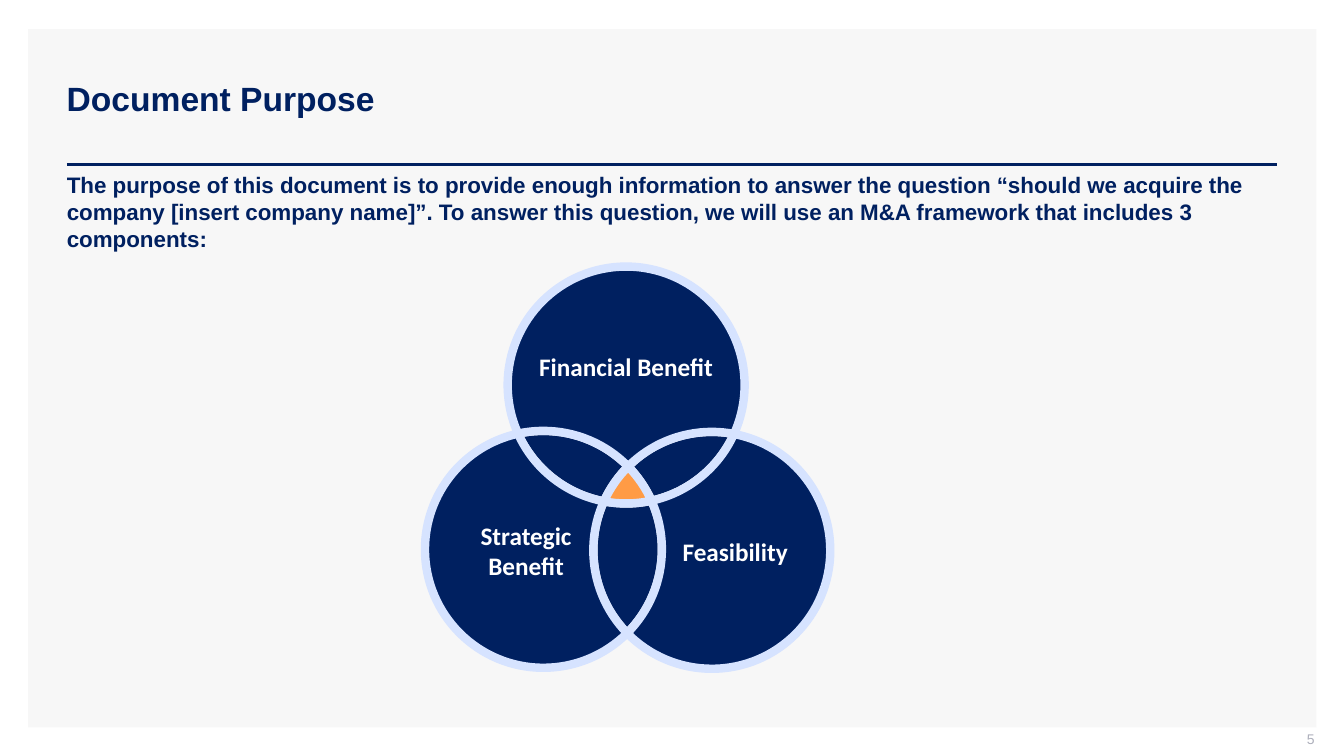
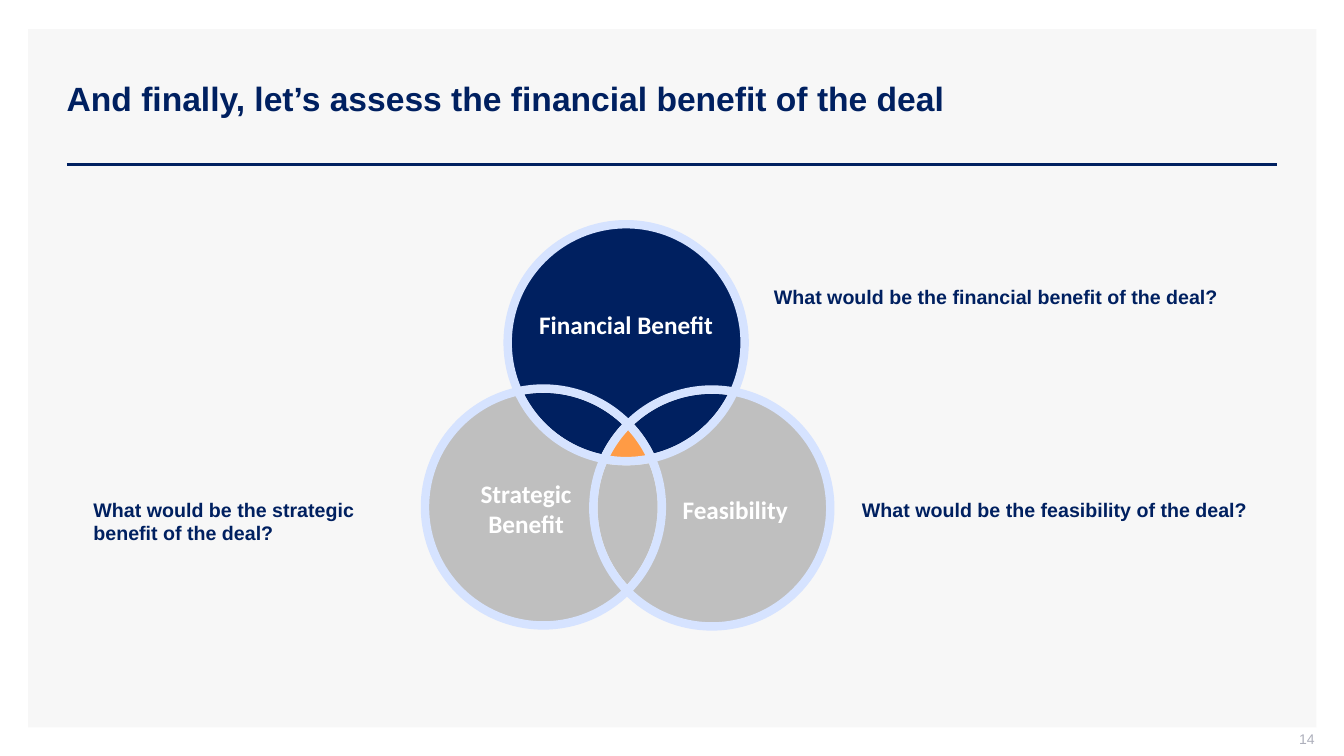
from dataclasses import dataclass
from itertools import pairwise
from math import atan2, ceil, cos, floor, hypot, pi, sin, tan
from typing import NamedTuple

from lxml.etree import Element, SubElement
from pptx import Presentation
from pptx.dml.color import RGBColor
from pptx.enum.shapes import MSO_CONNECTOR, MSO_SHAPE
from pptx.enum.text import MSO_ANCHOR, PP_ALIGN
from pptx.oxml.ns import qn
from pptx.util import Inches, Pt

NAVY = RGBColor(0x00, 0x20, 0x60)
PALE_BLUE = RGBColor(0xD6, 0xE3, 0xFF)
ORANGE = RGBColor(0xFF, 0x9B, 0x45)
MUTED = RGBColor(0xBF, 0xBF, 0xBF)
LIGHT_GREY = RGBColor(0xF2, 0xF2, 0xF2)
PANEL_GREY = RGBColor(0xF7, 0xF7, 0xF7)
NUMBER_GREY = RGBColor(0xAD, 0xAF, 0xBB)
WHITE = RGBColor(0xFF, 0xFF, 0xFF)

SLIDE_W, SLIDE_H = Inches(13.33), Inches(7.5)
QUADRANT = pi / 2
CLOCKWISE, COUNTER = 1, -1


class Area(NamedTuple):
    """A rectangle in percent of the slide's width and height."""
    left: float
    top: float
    width: float
    height: float

    def emu(self) -> tuple[int, int, int, int]:
        return (round(self.left * SLIDE_W / 100), round(self.top * SLIDE_H / 100),
                round(self.width * SLIDE_W / 100), round(self.height * SLIDE_H / 100))


PANEL = Area(2.1, 3.87, 95.85, 92.36)
TITLE = Area(4.21, 5.33, 90.85, 15.87)
RULE = Area(4.97, 21.73, 90.08, 0)
PURPOSE = Area(4.97, 22.65, 90.08, 10.8)
PAGE_NUMBER = Area(75.32, 96.67, 22.5, 2.8)


class Point(NamedTuple):
    x: float
    y: float


class Circle(NamedTuple):
    """Centre and diameter in inches, measured from the diagram's top left."""
    x: float
    y: float
    diameter: float = 2.35

    @property
    def radius(self) -> float:
        return self.diameter / 2


class Arc(NamedTuple):
    circle: Circle
    start: Point
    end: Point
    turn: int = CLOCKWISE


class Curve(NamedTuple):
    """A stretch of a circle of at most one quadrant, between two angles."""
    circle: Circle
    first: float
    last: float


@dataclass(frozen=True)
class Piece:
    arcs: tuple[Arc, ...]
    theme: str
    border: RGBColor = PALE_BLUE
    label: tuple[str, ...] = ()
    align: PP_ALIGN = PP_ALIGN.CENTER
    indent: float = 0


@dataclass(frozen=True)
class Question:
    text: str
    area: Area


def crossings(a: Circle, b: Circle, third: Circle) -> tuple[Point, Point]:
    """Points where a meets b: first the one inside the third circle, then the other."""
    dx, dy = b.x - a.x, b.y - a.y
    gap = hypot(dx, dy)
    rise = (a.radius ** 2 - gap ** 2 / 4) ** 0.5 / gap
    middle = Point((a.x + b.x) / 2, (a.y + b.y) / 2)
    both = [Point(middle.x - side * rise * dy, middle.y + side * rise * dx) for side in (1, -1)]
    inner, outer = sorted(both, key=lambda p: hypot(p.x - third.x, p.y - third.y))
    return inner, outer


FINANCIAL = Circle(1.99, 1.18)
STRATEGIC = Circle(1.17, 2.81)
FEASIBLE = Circle(2.84, 2.82)
FS_IN, FS_OUT = crossings(FINANCIAL, STRATEGIC, FEASIBLE)
FF_IN, FF_OUT = crossings(FINANCIAL, FEASIBLE, STRATEGIC)
SF_IN, SF_OUT = crossings(STRATEGIC, FEASIBLE, FINANCIAL)

PIECES = (
    Piece((Arc(STRATEGIC, FS_OUT, SF_IN), Arc(FEASIBLE, SF_IN, FF_IN, COUNTER),
           Arc(FINANCIAL, FF_IN, FS_OUT)), "financial", LIGHT_GREY),
    Piece((Arc(FEASIBLE, SF_IN, FF_OUT), Arc(FINANCIAL, FF_OUT, FS_IN),
           Arc(STRATEGIC, FS_IN, SF_IN, COUNTER)), "financial", LIGHT_GREY),
    Piece((Arc(STRATEGIC, FS_IN, SF_OUT), Arc(FEASIBLE, SF_OUT, FF_IN),
           Arc(FINANCIAL, FF_IN, FS_IN, COUNTER)), "other", LIGHT_GREY),
    Piece((Arc(FINANCIAL, FS_OUT, FF_OUT), Arc(FEASIBLE, FF_OUT, SF_IN, COUNTER),
           Arc(STRATEGIC, SF_IN, FS_OUT, COUNTER)), "financial", label=("Financial Benefit",)),
    Piece((Arc(FINANCIAL, FS_OUT, FF_IN, COUNTER), Arc(FEASIBLE, FF_IN, SF_OUT, COUNTER),
           Arc(STRATEGIC, SF_OUT, FS_OUT)), "other", label=("Strategic", "Benefit")),
    Piece((Arc(FEASIBLE, FF_OUT, SF_OUT), Arc(STRATEGIC, SF_OUT, FS_IN, COUNTER),
           Arc(FINANCIAL, FS_IN, FF_OUT, COUNTER)), "other",
          label=("Feasibility",), align=PP_ALIGN.LEFT, indent=0.55),
    Piece((Arc(STRATEGIC, SF_IN, FS_IN), Arc(FINANCIAL, FS_IN, FF_IN),
           Arc(FEASIBLE, FF_IN, SF_IN)), "core"),
)

QUESTIONS = (
    Question("What would be the financial benefit of the deal?", Area(56.84, 37.07, 35.11, 4.53)),
    Question("What would be the feasibility of the deal?", Area(63.39, 65.2, 31.96, 4.53)),
    Question("What would be the strategic benefit of the deal?", Area(6.21, 65.2, 24.83, 7.6)),
)


def write(shape, *lines: str, size: float, color: RGBColor = NAVY, font: str = "Arial",
          bold: bool = True, align: PP_ALIGN = PP_ALIGN.LEFT,
          anchor: MSO_ANCHOR = MSO_ANCHOR.TOP, spacing: float | None = None,
          insets: tuple[float, float, float, float] = (0.1, 0.05, 0.1, 0.05)) -> None:
    """Fill a shape with one paragraph per line; insets are left, top, right, bottom."""
    frame = shape.text_frame
    frame.word_wrap = True
    frame.vertical_anchor = anchor
    (frame.margin_left, frame.margin_top,
     frame.margin_right, frame.margin_bottom) = map(Inches, insets)
    frame.text = "\n".join(lines)
    for paragraph in frame.paragraphs:
        paragraph.alignment = align
        paragraph.line_spacing = spacing
        paragraph.font.name = font
        paragraph.font.size = Pt(size)
        paragraph.font.bold = bold
        paragraph.font.color.rgb = color


def add_text(slide, area: Area, *lines: str, **text_format) -> None:
    write(slide.shapes.add_textbox(*area.emu()), *lines, **text_format)


def split(arc: Arc) -> list[Curve]:
    """Cut an arc at the circle's outermost points, so that its joints span its bounds."""
    circle = arc.circle
    first = atan2(arc.start.y - circle.y, arc.start.x - circle.x)
    end = atan2(arc.end.y - circle.y, arc.end.x - circle.x)
    last = first + arc.turn * ((end - first) * arc.turn % (2 * pi))
    low, high = sorted((first, last))
    cuts = [turn * QUADRANT for turn in range(ceil(low / QUADRANT), floor(high / QUADRANT) + 1)]
    angles = [first, *cuts[::arc.turn], last]
    return [Curve(circle, start, stop) for start, stop in pairwise(angles)]


def bend(line, start: Point, curve: Curve) -> Point:
    """Turn a straight path segment into a Bézier curve and return its end."""
    end_point = line.find(qn("a:pt"))
    end = Point(int(end_point.get("x")), int(end_point.get("y")))
    reach = Inches(curve.circle.radius) * 4 / 3 * tan((curve.last - curve.first) / 4)
    controls = (
        Point(start.x - reach * sin(curve.first), start.y + reach * cos(curve.first)),
        Point(end.x + reach * sin(curve.last), end.y - reach * cos(curve.last)),
    )
    line.tag = qn("a:cubicBezTo")
    for position, control in enumerate(controls):
        line.insert(position, Element(qn("a:pt"), x=str(round(control.x)), y=str(round(control.y))))
    return end


def add_venn(slide, left: float, top: float, fills: dict[str, RGBColor]) -> None:
    for piece in PIECES:
        start = piece.arcs[0].start
        curves = [curve for arc in piece.arcs for curve in split(arc)]
        outline = slide.shapes.build_freeform(Inches(start.x), Inches(start.y))
        outline.add_line_segments([
            (Inches(circle.x + circle.radius * cos(last)),
             Inches(circle.y + circle.radius * sin(last))) for circle, _, last in curves])
        shape = outline.convert_to_shape(Inches(left), Inches(top))
        origin = next(shape.element.iter(qn("a:moveTo"))).find(qn("a:pt"))
        joint = Point(int(origin.get("x")), int(origin.get("y")))
        for line, curve in zip(list(shape.element.iter(qn("a:lnTo"))), curves):
            joint = bend(line, joint, curve)
        shape.shadow.inherit = False
        shape.fill.solid()
        shape.fill.fore_color.rgb = fills[piece.theme]
        shape.line.color.rgb = piece.border
        shape.line.width = Pt(6)
        if piece.label:
            write(shape, *piece.label, size=18, color=WHITE, font="Calibri",
                  align=piece.align, anchor=MSO_ANCHOR.MIDDLE,
                  insets=(piece.indent, 0.05, 0, 0.05))


def decorate_layout(layout, slide) -> None:
    """Place the title, and move a panel and a rule drawn on the slide to its layout."""
    for placeholder in list(layout.placeholders):
        if placeholder.placeholder_format.idx:
            placeholder.element.getparent().remove(placeholder.element)
    title = layout.placeholders[0]
    title.left, title.top, title.width, title.height = TITLE.emu()

    panel = slide.shapes.add_shape(MSO_SHAPE.RECTANGLE, *PANEL.emu())
    panel.shadow.inherit = False
    panel.fill.solid()
    panel.fill.fore_color.rgb = PANEL_GREY
    panel.line.fill.background()

    left, top, width, _ = RULE.emu()
    rule = slide.shapes.add_connector(MSO_CONNECTOR.STRAIGHT, left, top, left + width, top)
    rule.line.color.rgb = NAVY
    rule.line.width = Pt(2)
    SubElement(rule.element.spPr, qn("a:effectLst"))
    for decoration in (panel, rule):
        layout.element.cSld.spTree.append(decoration.element)


def add_page(deck, layout, title: str, number: int):
    slide = deck.slides.add_slide(layout)
    write(slide.shapes.title, title, size=24, anchor=MSO_ANCHOR.MIDDLE, spacing=0.9)
    add_text(slide, PAGE_NUMBER, str(number), size=10, color=NUMBER_GREY, bold=False,
             align=PP_ALIGN.RIGHT, anchor=MSO_ANCHOR.MIDDLE, insets=(0.1, 0, 0, 0.05))
    return slide


def main() -> None:
    deck = Presentation()
    deck.slide_width, deck.slide_height = SLIDE_W, SLIDE_H
    layout = deck.slide_layouts.get_by_name("Title Only")

    purpose = add_page(deck, layout, "Document Purpose", 5)
    decorate_layout(layout, purpose)
    add_text(purpose, PURPOSE,
             "The purpose of this document is to provide enough information to answer the "
             "question “should we acquire the company [insert company name]”. To answer this "
             "question, we will use an M&A framework that includes 3 components:",
             size=16, insets=(0, 0, 0, 0))
    add_venn(purpose, 4.22, 2.64, {"financial": NAVY, "other": NAVY, "core": ORANGE})

    assessment = add_page(deck, layout,
                          "And finally, let’s assess the financial benefit of the deal", 14)
    add_venn(assessment, 4.22, 2.22, {"financial": NAVY, "other": MUTED, "core": ORANGE})
    for question in QUESTIONS:
        add_text(assessment, question.area, question.text, size=14)

    deck.save("out.pptx")


if __name__ == "__main__":
    main()
